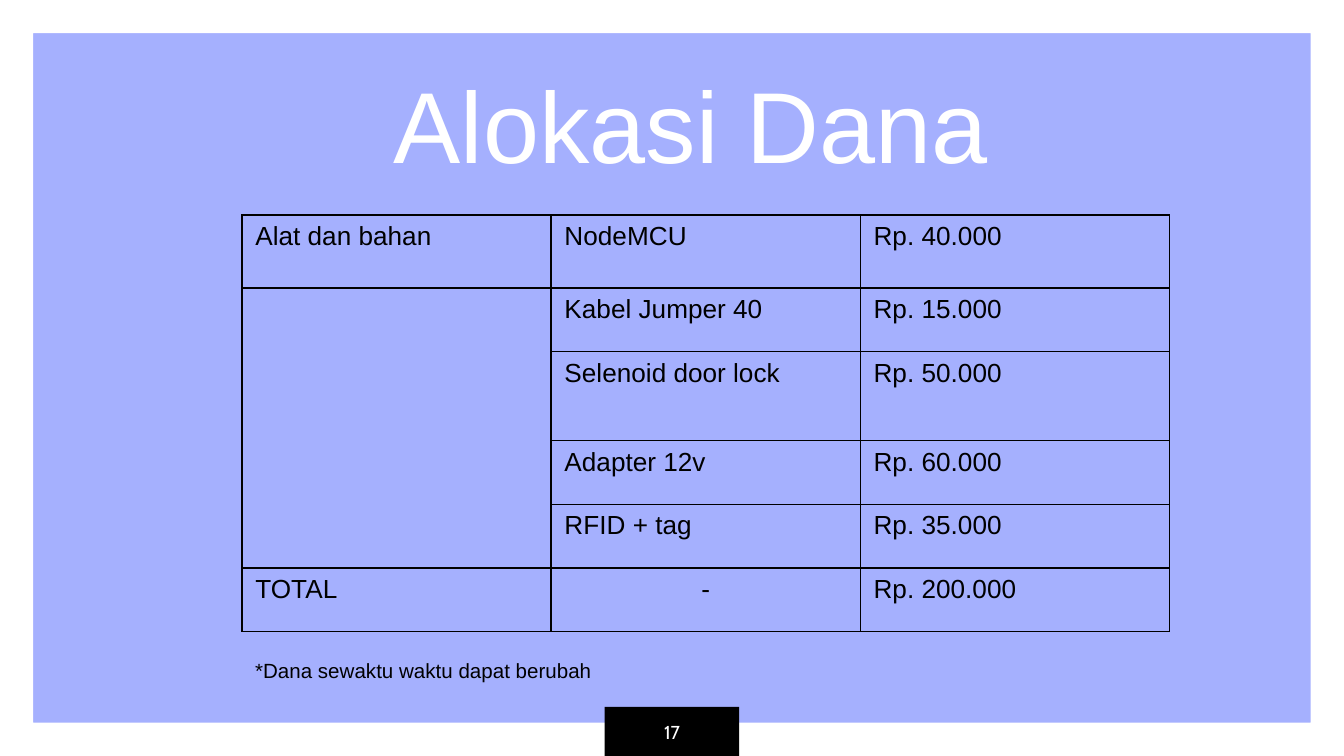
from dataclasses import dataclass

from lxml import etree
from pptx import Presentation
from pptx.dml.color import RGBColor
from pptx.enum import shapes, text
from pptx.oxml import ns
from pptx.util import Inches, Pt

ALIGN = text.PP_ALIGN
ANCHOR = text.MSO_ANCHOR


@dataclass(frozen=True)
class Theme:
    back: str = "A5B0FE"
    light: str = "FFFFFF"
    dark: str = "000000"
    font: str = "Arial"
    accent: str = "Cabin"
    title: int = 54
    body: int = 14
    note: int = 11
    page: int = 10
    border: float = 0.75


@dataclass(frozen=True)
class Box:
    left: float
    top: float
    width: float
    height: float

    def place(self) -> tuple:
        return tuple(Inches(v) for v in (self.left, self.top, self.width, self.height))


@dataclass(frozen=True)
class Label:
    words: str
    box: Box
    size: int
    color: str
    font: str
    align: ALIGN = ALIGN.LEFT
    anchor: ANCHOR = ANCHOR.TOP
    inset: tuple = (0.1, 0.1)


@dataclass(frozen=True)
class Row:
    share: float
    group: str
    item: str
    cost: str


THEME = Theme()
WIDTH = 10
HEIGHT = WIDTH * 9 / 16
BADGE = Box(4.5, 5.26, 1, 0.37)
GRID = Box(1.8, 1.6, 6.9, 3.1)

ROWS = [
    Row(0.54, "Alat dan bahan", "NodeMCU", "Rp. 40.000"),
    Row(0.47, "", "Kabel Jumper 40", "Rp. 15.000"),
    Row(0.66, "", "Selenoid door lock", "Rp. 50.000"),
    Row(0.47, "", "Adapter 12v", "Rp. 60.000"),
    Row(0.47, "", "RFID + tag", "Rp. 35.000"),
    Row(0.47, "TOTAL", "-", "Rp. 200.000"),
]

LABELS = [
    Label("Alokasi Dana", Box(0.89, 0.2, 8.5, 1.27), THEME.title, THEME.light,
          THEME.font, ALIGN.CENTER, ANCHOR.BOTTOM),
    Label("17", BADGE, THEME.page, THEME.light,
          THEME.accent, ALIGN.CENTER, ANCHOR.MIDDLE),
    Label("*Dana sewaktu waktu dapat berubah", Box(1.8, 4.85, 3.87, 0.29),
          THEME.note, THEME.dark, THEME.font, inset=(0.1, 0.05)),
]


def style(frame, size: int, color: str, font: str, align: ALIGN) -> None:
    for para in frame.paragraphs:
        para.alignment = align
        for run in para.runs:
            run.font.size = Pt(size)
            run.font.name = font
            run.font.color.rgb = RGBColor.from_string(color)


def add_block(slide, kind: shapes.MSO_SHAPE, box: Box, color: str):
    block = slide.shapes.add_shape(kind, *box.place())
    block.shadow.inherit = False
    block.fill.solid()
    block.fill.fore_color.rgb = RGBColor.from_string(color)
    block.line.fill.background()
    return block


def add_label(slide, label: Label) -> None:
    frame = slide.shapes.add_textbox(*label.box.place()).text_frame
    frame.word_wrap = True
    frame.vertical_anchor = label.anchor
    side, edge = (Inches(v) for v in label.inset)
    frame.margin_left = frame.margin_right = side
    frame.margin_top = frame.margin_bottom = edge
    frame.text = label.words
    style(frame, label.size, label.color, label.font, label.align)


def add_border(cell) -> None:
    props = cell._tc.get_or_add_tcPr()
    for side in ("a:lnL", "a:lnR", "a:lnT", "a:lnB"):
        line = etree.SubElement(props, ns.qn(side), w=str(Pt(THEME.border)))
        fill = etree.SubElement(line, ns.qn("a:solidFill"))
        etree.SubElement(fill, ns.qn("a:srgbClr"), val=THEME.dark)


def add_costs(slide) -> None:
    """Add the cost table, its height split by the share of each row."""
    table = slide.shapes.add_table(len(ROWS), 3, *GRID.place()).table
    table.first_row = table.horz_banding = False
    for col in table.columns:
        col.width = Inches(GRID.width / 3)
    unit = GRID.height / sum(row.share for row in ROWS)
    for i, row in enumerate(ROWS):
        table.rows[i].height = Inches(row.share * unit)
        for j, words in enumerate((row.group, row.item, row.cost)):
            cell = table.cell(i, j)
            add_border(cell)
            cell.fill.background()
            cell.text_frame.text = words
            align = ALIGN.CENTER if words == "-" else ALIGN.LEFT
            style(cell.text_frame, THEME.body, THEME.dark, THEME.font, align)
    table.cell(1, 0).merge(table.cell(4, 0))


def main() -> None:
    deck = Presentation()
    deck.slide_width, deck.slide_height = Inches(WIDTH), Inches(HEIGHT)
    slide = deck.slides.add_slide(deck.slide_layouts[6])
    slide.background.fill.solid()
    slide.background.fill.fore_color.rgb = RGBColor.from_string(THEME.back)

    frame = add_block(slide, shapes.MSO_SHAPE.FRAME, Box(0, 0, WIDTH, HEIGHT), THEME.light)
    frame.adjustments[0] = 0.044
    add_block(slide, shapes.MSO_SHAPE.RECTANGLE, BADGE, THEME.dark)
    add_costs(slide)
    for label in LABELS:
        add_label(slide, label)
    deck.save("out.pptx")


if __name__ == "__main__":
    main()
